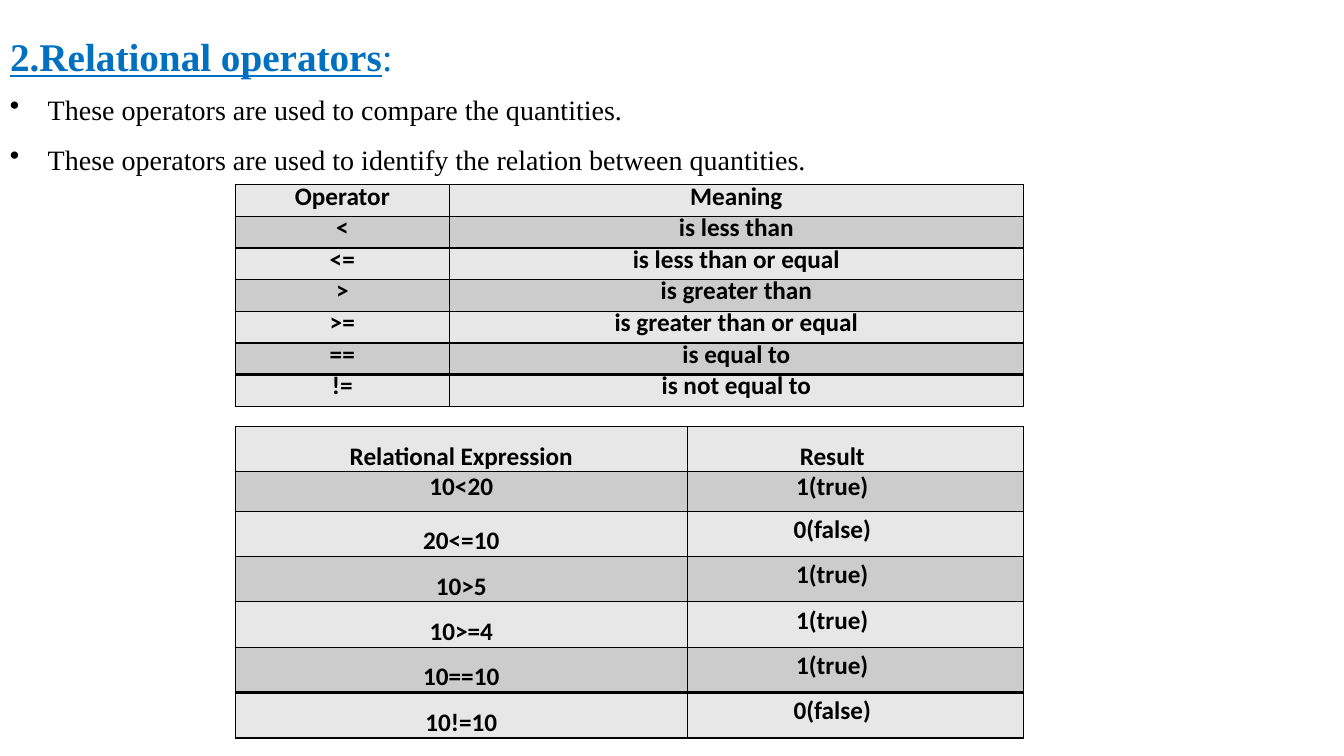
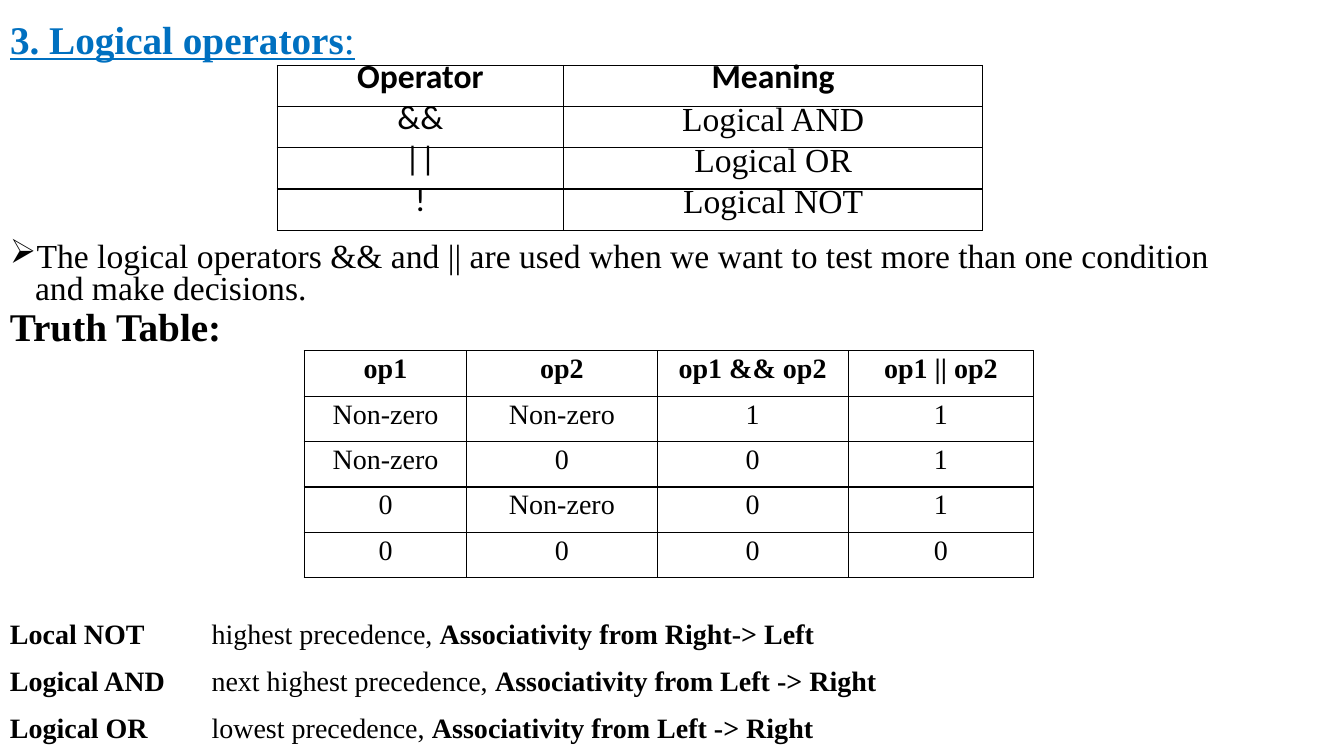
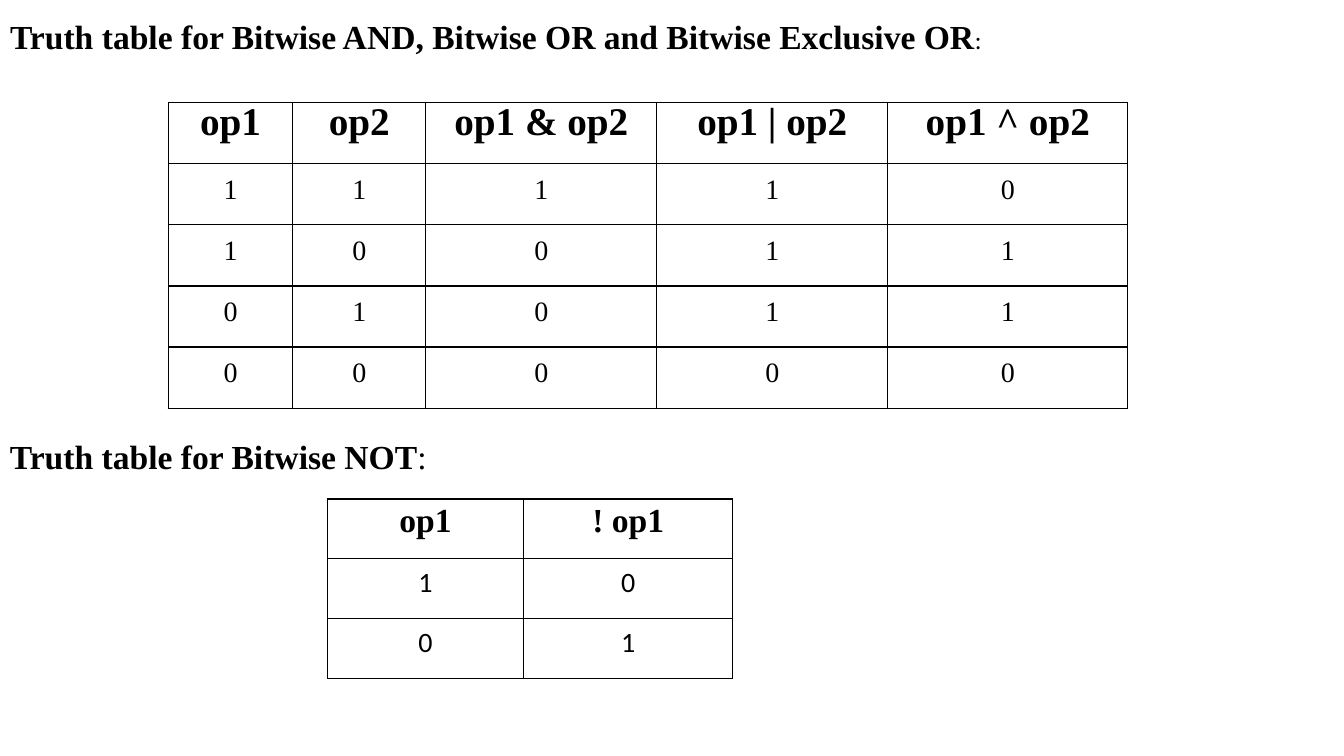
from lxml import etree
from pptx import Presentation
from pptx.dml.color import RGBColor
from pptx.enum import text as t
from pptx.oxml import ns
from pptx.util import Pt

BLUE = RGBColor(0x00, 0x70, 0xC0)
BLACK = RGBColor(0x00, 0x00, 0x00)
LIGHT = RGBColor(0xE7, 0xE7, 0xE7)
GREY = RGBColor(0xCC, 0xCC, 0xCC)
SERIF, SANS = "Times New Roman", "Calibri"
WIDTH, HEIGHT = 960, 540
MIDDLE, BOTTOM = t.MSO_ANCHOR.MIDDLE, t.MSO_ANCHOR.BOTTOM


def place_text(shape, top, height, lines, size, color=BLACK, pitch=None,
               bullet=None, hanging=0, tab=None, width=WIDTH):
    """Fill a shape at the left edge; a line is a list of (text, bold, underline) runs."""
    shape.left, shape.top, shape.width, shape.height = 0, Pt(top), Pt(width), Pt(height)
    frame = shape.text_frame
    frame.word_wrap = True
    frame.auto_size = t.MSO_AUTO_SIZE.NONE
    frame.vertical_anchor = t.MSO_ANCHOR.TOP
    frame.margin_left = frame.margin_right = Pt(7.2)
    frame.margin_top = frame.margin_bottom = 0
    for index, runs in enumerate(lines):
        paragraph = frame.paragraphs[0] if index == 0 else frame.add_paragraph()
        paragraph.alignment = t.PP_ALIGN.LEFT
        if pitch:
            paragraph.line_spacing = Pt(pitch)
        properties = paragraph._p.get_or_add_pPr()
        if bullet:
            properties.set("marL", str(Pt(hanging)))
            properties.set("indent", str(-Pt(hanging)))
            etree.SubElement(properties, ns.qn("a:buChar"), char=bullet)
        if tab:
            tabs = etree.SubElement(properties, ns.qn("a:tabLst"))
            etree.SubElement(tabs, ns.qn("a:tab"), pos=str(Pt(tab)), algn="l")
        font = paragraph.font
        font.name, font.size, font.color.rgb = SERIF, Pt(size), color
        for words, bold, underline in runs:
            run = paragraph.add_run()
            run.text = words
            run.font.bold, run.font.underline = bold, underline


def add_grid(slide, left, top, widths, heights, rows, header, body,
             body_bold=False, bands=None, last_rule=1, anchors=None, insets=None):
    """Add a ruled table; header and body list a (font, size) pair for each column."""
    table = slide.shapes.add_table(len(rows), len(widths), Pt(left), Pt(top),
                                   Pt(sum(widths)), Pt(sum(heights))).table
    table.first_row = table.horz_banding = False
    for column, width in zip(table.columns, widths):
        column.width = Pt(width)
    for row, height in zip(table.rows, heights):
        row.height = Pt(height)
    last = len(rows) - 1
    for r, texts in enumerate(rows):
        for c, words in enumerate(texts):
            cell = table.cell(r, c)
            cell.margin_left = cell.margin_top = cell.margin_bottom = 0
            cell.margin_right = Pt(insets[c] if insets else 0)
            cell.vertical_anchor = anchors[r][c] if anchors else MIDDLE
            properties = cell._tc.get_or_add_tcPr()
            for side in "LRTB":
                heavy = (side, r) in (("T", last), ("B", last - 1))
                line = etree.SubElement(properties, ns.qn("a:ln" + side),
                                        w=str(Pt(last_rule if heavy else 1)))
                fill = etree.SubElement(line, ns.qn("a:solidFill"))
                etree.SubElement(fill, ns.qn("a:srgbClr"), val=str(BLACK))
            if bands:
                cell.fill.solid()
                cell.fill.fore_color.rgb = bands[r % 2]
            else:
                cell.fill.background()
            paragraph = cell.text_frame.paragraphs[0]
            paragraph.text = words
            paragraph.alignment = t.PP_ALIGN.CENTER
            paragraph.line_spacing = Pt(16)
            name, size = (body if r else header)[c]
            font = paragraph.font
            font.name, font.size, font.color.rgb = name, Pt(size), BLACK
            font.bold = body_bold or r == 0


presentation = Presentation()
presentation.slide_width, presentation.slide_height = Pt(WIDTH), Pt(HEIGHT)
title_only = presentation.slide_layouts[5]

# Relational operators
slide = presentation.slides.add_slide(title_only)
place_text(slide.shapes.title, 23, 34,
           [[("2.Relational operators", True, True), (":", False, False)]], 28, BLUE)
place_text(slide.shapes.add_textbox(0, 0, 0, 0), 54.3, 72,
           [[("These operators are used to compare the quantities.", False, False)],
            [("These operators are used to identify the relation between quantities.",
              False, False)]],
           20, pitch=35.7, bullet="•", hanging=27)
add_grid(slide, 168, 132, [153, 410], [22.6] * 7,
         [("Operator", "Meaning"),
          ("<", "is less than"),
          ("<=", "is less than or equal"),
          (">", "is greater than"),
          (">=", "is greater than or equal"),
          ("==", "is equal to"),
          ("!=", "is not equal to")],
         [(SANS, 18)] * 2, [(SANS, 18)] * 2,
         body_bold=True, bands=(LIGHT, GREY), last_rule=2)
add_grid(slide, 168, 304.6, [323, 240], [32.4, 28.1] + [32.4] * 5,
         [("Relational Expression", "Result"),
          ("10<20", "1(true)"),
          ("20<=10", "0(false)"),
          ("10>5", "1(true)"),
          ("10>=4", "1(true)"),
          ("10==10", "1(true)"),
          ("10!=10", "0(false)")],
         [(SANS, 18)] * 2, [(SANS, 18)] * 2,
         body_bold=True, bands=(LIGHT, GREY), last_rule=2, insets=(0, 33),
         anchors=[(BOTTOM, BOTTOM), (MIDDLE, MIDDLE)] + [(BOTTOM, MIDDLE)] * 5)

# Logical operators
slide = presentation.slides.add_slide(title_only)
place_text(slide.shapes.title, 10.8, 34,
           [[("3. Logical operators", True, True), (":", False, True)]], 28, BLUE)
add_grid(slide, 198, 46.8, [204.5, 299.5], [29.4] * 4,
         [("Operator", "Meaning"),
          ("&&", "Logical AND"),
          ("||", "Logical OR"),
          ("!", "Logical NOT")],
         [(SANS, 24)] * 2, [(SANS, 24), (SERIF, 24)])
place_text(slide.shapes.add_textbox(0, 0, 0, 0), 174.2, 46,
           [[("The logical operators && and || are used when we want to test "
              "more than one condition and make decisions.", False, False)]],
           24, pitch=22.6, bullet="➢", hanging=18, width=900)
place_text(slide.shapes.add_textbox(0, 0, 0, 0), 215.8, 34,
           [[("Truth Table:", True, False)]], 28)
add_grid(slide, 217.4, 250.6, [116, 136, 136.5, 132.5], [32.4] * 5,
         [("op1", "op2", "op1 && op2", "op1 || op2"),
          ("Non-zero", "Non-zero", "1", "1"),
          ("Non-zero", "0", "0", "1"),
          ("0", "Non-zero", "0", "1"),
          ("0", "0", "0", "0")],
         [(SERIF, 20)] * 4, [(SERIF, 20)] * 4)
precedences = [("Local NOT", "highest", "Right-> Left"),
               ("Logical AND", "next highest", "Left -> Right"),
               ("Logical OR", "lowest", "Left -> Right")]
place_text(slide.shapes.add_textbox(0, 0, 0, 0), 430.7, 102,
           [[(operator + "\t", True, False),
             (rank + " precedence, ", False, False),
             ("Associativity from " + direction, True, False)]
            for operator, rank, direction in precedences],
           20, pitch=33.6, tab=144)

# Bitwise operators
slide = presentation.slides.add_slide(title_only)
place_text(slide.shapes.title, 11.5, 30,
           [[("Truth table for Bitwise AND, Bitwise OR and Bitwise Exclusive OR", True, False),
             (":", False, False)]], 24)
colon = slide.shapes.title.text_frame.paragraphs[0].runs[-1]
colon.font.name, colon.font.size = SANS, Pt(18)
add_grid(slide, 120.2, 73.2, [89, 95, 165, 165, 171.5], [43.7] * 5,
         [("op1", "op2", "op1 & op2", "op1 | op2", "op1 ^ op2"),
          ("1", "1", "1", "1", "0"),
          ("1", "0", "0", "1", "1"),
          ("0", "1", "0", "1", "1"),
          ("0", "0", "0", "0", "0")],
         [(SERIF, 28)] * 5, [(SERIF, 20)] * 5)
place_text(slide.shapes.add_textbox(0, 0, 0, 0), 311.5, 30,
           [[("Truth table for Bitwise NOT", True, False), (":", False, False)]], 24)
add_grid(slide, 234, 356.4, [140, 149.5], [42.8] * 3,
         [("op1", "! op1"), ("1", "0"), ("0", "1")],
         [(SERIF, 24)] * 2, [(SANS, 20)] * 2)

presentation.save("out.pptx")
